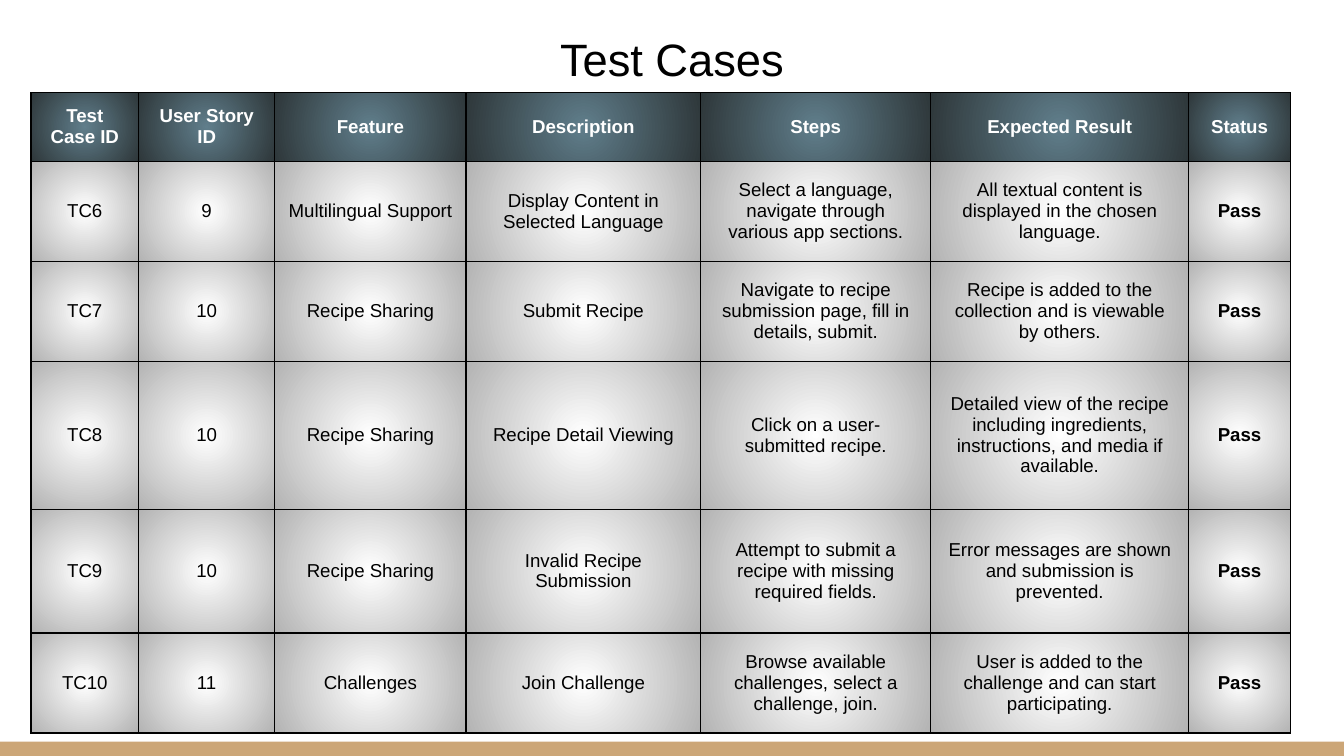
from pptx import Presentation
from pptx.dml.color import RGBColor
from pptx.enum.shapes import MSO_SHAPE as Preset
from pptx.enum.text import MSO_ANCHOR as Anchor, MSO_AUTO_SIZE as AutoSize, PP_ALIGN as Align
from pptx.oxml import parse_xml
from pptx.oxml.ns import nsdecls
from pptx.util import Pt

TITLE = "Test Cases"
HEADERS = ["Test Case ID", "User Story ID", "Feature", "Description",
           "Steps", "Expected Result", "Status"]
TEST_CASES = [
    ("TC6", "9", "Multilingual Support", "Display Content in Selected Language",
     "Select a language, navigate through various app sections.",
     "All textual content is displayed in the chosen language.", "Pass"),
    ("TC7", "10", "Recipe Sharing", "Submit Recipe",
     "Navigate to recipe submission page, fill in details, submit.",
     "Recipe is added to the collection and is viewable by others.", "Pass"),
    ("TC8", "10", "Recipe Sharing", "Recipe Detail Viewing",
     "Click on a user-submitted recipe.",
     "Detailed view of the recipe including ingredients, instructions, "
     "and media if available.", "Pass"),
    ("TC9", "10", "Recipe Sharing", "Invalid Recipe Submission",
     "Attempt to submit a recipe with missing required fields.",
     "Error messages are shown and submission is prevented.", "Pass"),
    ("TC10", "11", "Challenges", "Join Challenge",
     "Browse available challenges, select a challenge, join.",
     "User is added to the challenge and can start participating.", "Pass"),
]
COLUMN_WIDTHS = [57.6, 73, 102.4, 125.8, 123.2, 138.2, 54.6]
ROW_HEIGHTS = [36.8, 53.6, 53.6, 79.2, 66.4, 53.6]

FONT = "Arial"
MARGIN = Pt(7.2)
BLACK = RGBColor(0x00, 0x00, 0x00)
WHITE = RGBColor(0xFF, 0xFF, 0xFF)
TAN = RGBColor(0xCC, 0xA6, 0x77)
HEADER_GRADIENT = (RGBColor(0x60, 0x7E, 0x8B), RGBColor(0x2E, 0x37, 0x3A))
BODY_GRADIENT = (WHITE, RGBColor(0xB3, 0xB3, 0xB3))


def set_margins(target):
    target.margin_left = target.margin_right = MARGIN
    target.margin_top = target.margin_bottom = MARGIN


def format_paragraph(paragraph, size, color, bold=False):
    paragraph.alignment = Align.CENTER
    for run in paragraph.runs:
        run.font.name = FONT
        run.font.size = Pt(size)
        run.font.bold = bold
        run.font.color.rgb = color


def style_cell(cell, gradient):
    properties = cell._tc.get_or_add_tcPr()
    for side in ("lnL", "lnR", "lnT", "lnB"):
        properties.append(parse_xml(
            f'<a:{side} {nsdecls("a")} w="{Pt(0.75)}"><a:solidFill>'
            f'<a:srgbClr val="{BLACK}"/></a:solidFill></a:{side}>'))
    inner, outer = gradient
    properties.append(parse_xml(
        f'<a:gradFill {nsdecls("a")}><a:gsLst>'
        f'<a:gs pos="0"><a:srgbClr val="{inner}"/></a:gs>'
        f'<a:gs pos="100000"><a:srgbClr val="{outer}"/></a:gs></a:gsLst>'
        '<a:path path="circle"><a:fillToRect l="50000" t="50000" r="50000" b="50000"/>'
        '</a:path></a:gradFill>'))


def add_bottom_bar(slide):
    bar = slide.shapes.add_shape(Preset.RECTANGLE, 0, Pt(397.4), Pt(720), Pt(7.6))
    bar.shadow.inherit = False
    bar.fill.solid()
    bar.fill.fore_color.rgb = TAN
    bar.line.fill.background()


def format_title(slide):
    title = slide.shapes.title
    title.left, title.top, title.width, title.height = Pt(24.5), 0, Pt(671), Pt(53.3)
    frame = title.text_frame
    frame.text = TITLE
    frame.auto_size = AutoSize.NONE
    frame.vertical_anchor = Anchor.BOTTOM
    set_margins(frame)
    format_paragraph(frame.paragraphs[0], 24.3, BLACK)


def add_test_table(slide):
    rows = [HEADERS, *TEST_CASES]
    table = slide.shapes.add_table(
        len(rows), len(HEADERS), Pt(16.6), Pt(49.6),
        Pt(sum(COLUMN_WIDTHS)), Pt(sum(ROW_HEIGHTS))).table
    table.horz_banding = False
    for column, width in zip(table.columns, COLUMN_WIDTHS):
        column.width = Pt(width)
    for row, height in zip(table.rows, ROW_HEIGHTS):
        row.height = Pt(height)
    for row_index, texts in enumerate(rows):
        is_header = row_index == 0
        for column_index, text in enumerate(texts):
            is_status = column_index == len(HEADERS) - 1
            cell = table.cell(row_index, column_index)
            cell.text = text
            cell.vertical_anchor = Anchor.MIDDLE
            set_margins(cell)
            format_paragraph(cell.text_frame.paragraphs[0], 10,
                             WHITE if is_header else BLACK, is_header or is_status)
            style_cell(cell, HEADER_GRADIENT if is_header else BODY_GRADIENT)


def main():
    presentation = Presentation()
    presentation.slide_width, presentation.slide_height = Pt(720), Pt(405)
    slide = presentation.slides.add_slide(presentation.slide_layouts[5])
    add_bottom_bar(slide)
    format_title(slide)
    add_test_table(slide)
    presentation.save("out.pptx")


if __name__ == "__main__":
    main()
